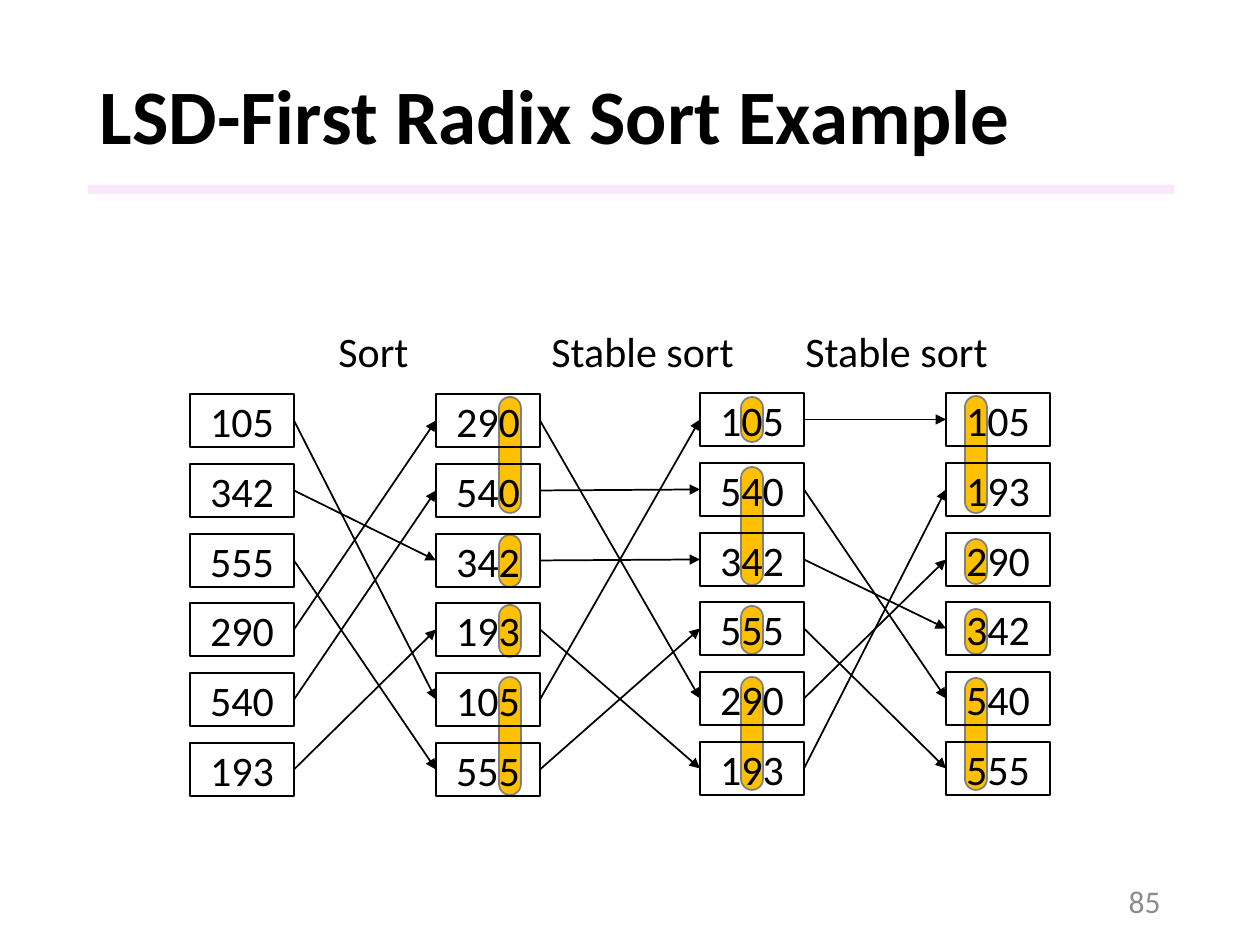
from lxml import etree
from pptx import Presentation
from pptx.dml.color import RGBColor
from pptx.enum.shapes import MSO_CONNECTOR, MSO_SHAPE
from pptx.enum.text import MSO_ANCHOR, MSO_AUTO_SIZE, PP_ALIGN
from pptx.oxml.ns import qn
from pptx.util import Emu, Pt

RECTANGLE = MSO_SHAPE.RECTANGLE
ROUNDED = MSO_SHAPE.ROUNDED_RECTANGLE
STRAIGHT = MSO_CONNECTOR.STRAIGHT
LEFT, CENTER, RIGHT = PP_ALIGN.LEFT, PP_ALIGN.CENTER, PP_ALIGN.RIGHT
TOP, MIDDLE = MSO_ANCHOR.TOP, MSO_ANCHOR.MIDDLE
NO_AUTOFIT = MSO_AUTO_SIZE.NONE

BLACK = RGBColor(0x00, 0x00, 0x00)
GRAY = RGBColor(0x80, 0x80, 0x80)
NUMBER_GRAY = RGBColor(0x8C, 0x8C, 0x8C)
AMBER = RGBColor(0xFF, 0xC0, 0x00)
LILAC = RGBColor(0xF3, 0xD2, 0xF4)

EMU_PER_PX = 914400 / 126
LEFT_SITE, RIGHT_SITE = 1, 3

COLUMN_LEFTS = [190, 436, 700, 946]
COLUMN_TOPS = [394, 394, 393, 393]
ROWS_SPAN = 349
CELL_WIDTH, CELL_HEIGHT = 104, 53
PASSES = [
    ["105", "342", "555", "290", "540", "193"],
    ["290", "540", "342", "193", "105", "555"],
    ["105", "540", "342", "555", "290", "193"],
    ["105", "193", "290", "342", "540", "555"],
]
DIGIT_GROUPS = {
    499: [(397, 116), (535, 52), (605, 52), (677, 118)],
    741: [(397, 45), (467, 118), (606, 48), (677, 113)],
    965: [(396, 117), (539, 45), (609, 45), (678, 112)],
}
LABELS = [("Sort", 326, 96), ("Stable sort", 539, 209), ("Stable sort", 793, 209)]


def px(length):
    return Emu(round(length * EMU_PER_PX))


class RadixSlide:
    font_name = "Calibri"

    def __init__(self, deck):
        self.page = deck.slides.add_slide(deck.slide_layouts[5])
        self.shapes = self.page.shapes

    def set_text(self, shape, text, size, color=BLACK, align=LEFT, anchor=MIDDLE, bold=False):
        frame = shape.text_frame
        frame.text = text
        frame.vertical_anchor = anchor
        para = frame.paragraphs[0]
        para.alignment = align
        font = para.runs[0].font
        font.name, font.size, font.bold = self.font_name, Pt(size), bold
        font.color.rgb = color
        return para

    def title(self, text, left, top, width, height):
        box = self.shapes.title
        box.left, box.top, box.width, box.height = map(px, (left, top, width, height))
        para = self.set_text(box, text, 44, bold=True)
        para.line_spacing = 0.9
        box.text_frame.auto_size = NO_AUTOFIT

    def shape(self, kind, left, top, width, height, fill=None, line=None):
        shape = self.shapes.add_shape(kind, *map(px, (left, top, width, height)))
        shape.shadow.inherit = False
        if fill is None:
            shape.fill.background()
        else:
            shape.fill.solid()
            shape.fill.fore_color.rgb = fill
        if line is None:
            shape.line.fill.background()
        else:
            shape.line.color.rgb = line
            shape.line.width = Pt(1)
        return shape

    def rule(self, left, top, width, height):
        bar = self.shape(RECTANGLE, left, top, width, height, fill=LILAC)
        color = bar._element.spPr.find(qn("a:solidFill")).find(qn("a:srgbClr"))
        etree.SubElement(color, qn("a:alpha"), val="50000")

    def highlight(self, left, top, height):
        pill = self.shape(ROUNDED, left, top, 22, height, AMBER, GRAY)
        pill.adjustments[0] = 0.5

    def cell(self, text, left, top):
        box = self.shape(RECTANGLE, left, top, CELL_WIDTH, CELL_HEIGHT, line=BLACK)
        self.set_text(box, text, 24, align=CENTER)
        return box

    def arrow(self, source, target):
        arrow = self.shapes.add_connector(STRAIGHT, 0, 0, 0, 0)
        arrow.begin_connect(source, RIGHT_SITE)
        arrow.end_connect(target, LEFT_SITE)
        arrow.line.color.rgb = BLACK
        arrow.line.width = Pt(1)
        properties = arrow._element.spPr
        etree.SubElement(properties.find(qn("a:ln")), qn("a:tailEnd"), type="triangle")
        etree.SubElement(properties, qn("a:effectLst"))

    def text(self, text, left, top, width, height, size, wrap=False, **style):
        box = self.shapes.add_textbox(*map(px, (left, top, width, height)))
        box.text_frame.word_wrap = wrap
        self.set_text(box, text, size, **style)


def main():
    deck = Presentation()
    deck.slide_width, deck.slide_height = px(1260), px(945)
    slide = RadixSlide(deck)
    slide.rule(88, 185, 1086, 9)
    slide.title("LSD-First Radix Sort Example", 87, 50, 1086, 140)
    slide.text("85", 890, 876, 283, 50, 18, wrap=True, color=NUMBER_GRAY, align=RIGHT)

    for left, groups in DIGIT_GROUPS.items():
        for top, height in groups:
            slide.highlight(left, top, height)

    columns = []
    for values, left, first_top in zip(PASSES, COLUMN_LEFTS, COLUMN_TOPS):
        step = ROWS_SPAN / (len(values) - 1)
        columns.append({
            value: slide.cell(value, left, round(first_top + row * step))
            for row, value in enumerate(values)
        })

    for before, after in zip(columns, columns[1:]):
        for value, box in before.items():
            slide.arrow(box, after[value])

    for label, left, width in LABELS:
        slide.text(label, left, 319, width, 63, 24, anchor=TOP)

    deck.save("out.pptx")


if __name__ == "__main__":
    main()
